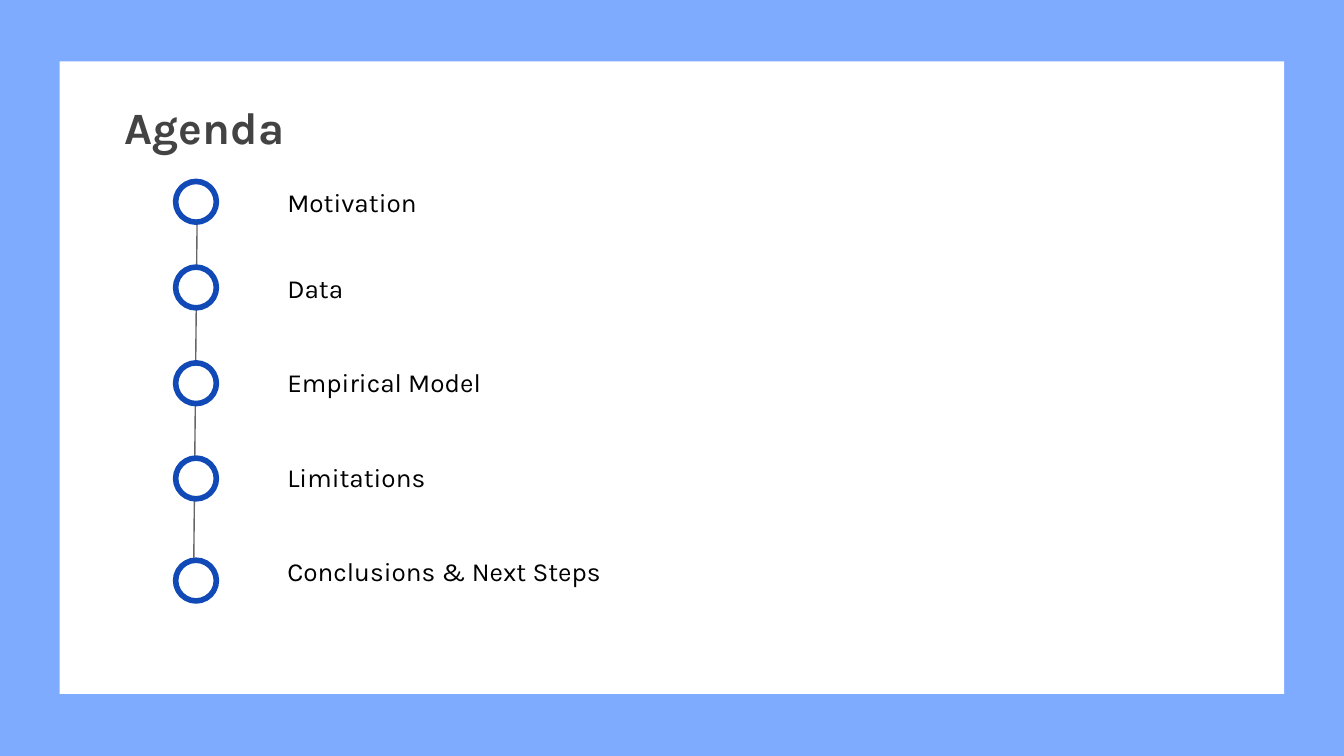
"""Build an agenda slide with a vertical timeline of five topics."""
import pptx
import pptx.dml.color
import pptx.enum.shapes
import pptx.enum.text
import pptx.oxml
import pptx.util
from pptx.util import Cm

FONT = "Karla"
INSET = Cm(0.25)
# Topic, top of its label and top of its marker, in centimetres.
AGENDA = [
    ("Motivation", 3.28, 3.43),
    ("Data", 4.9, 5.05),
    ("Empirical Model", 6.68, 6.86),
    ("Limitations", 8.48, 8.66),
    ("Conclusions & Next Steps", 10.24, 10.59),
]


def color(value):
    """Return the colour for a hex string."""
    return pptx.dml.color.RGBColor.from_string(value)


def write_text(shape, text, size, text_color, anchor, bold=False):
    """Put one formatted left-aligned paragraph into a shape."""
    frame = shape.text_frame
    frame.text = text
    frame.word_wrap = True
    frame.auto_size = pptx.enum.text.MSO_AUTO_SIZE.NONE
    frame.vertical_anchor = anchor
    frame.margin_left = frame.margin_right = INSET
    frame.margin_top = frame.margin_bottom = INSET
    paragraph = frame.paragraphs[0]
    paragraph.alignment = pptx.enum.text.PP_ALIGN.LEFT
    paragraph.font.name = FONT
    paragraph.font.size = pptx.util.Pt(size)
    paragraph.font.bold = bold
    paragraph.font.color.rgb = color(text_color)


def add_title(slide, text):
    """Place and format the title placeholder."""
    title = slide.shapes.title
    title.left, title.top = Cm(2.11), Cm(2.06)
    title.width, title.height = Cm(21.16), Cm(1.09)
    write_text(title, text, 24, "434343", pptx.enum.text.MSO_ANCHOR.BOTTOM, bold=True)


def add_white_shape(slide, kind, left, top, width, height, line_color=None):
    """Add a white shape, outlined if a line colour is given."""
    shape = slide.shapes.add_shape(kind, Cm(left), Cm(top), Cm(width), Cm(height))
    shape.shadow.inherit = False
    shape.fill.solid()
    shape.fill.fore_color.rgb = color("FFFFFF")
    if line_color:
        shape.line.color.rgb = color(line_color)
        shape.line.width = pptx.util.Pt(3)
    else:
        shape.line.fill.background()
    return shape


def add_panel(slide):
    """Add the white panel behind the title."""
    panel = add_white_shape(
        slide, pptx.enum.shapes.MSO_SHAPE.RECTANGLE, 1.13, 1.16, 23.14, 11.96
    )
    slide.shapes.title.element.addprevious(panel.element)


def add_label(slide, text, top):
    """Add the label of one agenda topic."""
    label = slide.shapes.add_textbox(Cm(5.18), Cm(top), Cm(11.05), Cm(1.45))
    write_text(label, text, 14, "000000", pptx.enum.text.MSO_ANCHOR.TOP)


def add_timeline(slide):
    """Add the thin line that runs behind the markers."""
    line = slide.shapes.add_connector(
        pptx.enum.shapes.MSO_CONNECTOR.STRAIGHT,
        Cm(3.73), Cm(3.63), Cm(3.66), Cm(10.82),
    )
    line.line.color.rgb = color("666666")
    line.line.width = pptx.util.Pt(0.75)
    properties = line.element.spPr
    properties.append(pptx.oxml.xmlchemy.OxmlElement("a:effectLst"))


def main():
    """Build and save the presentation."""
    presentation = pptx.Presentation()
    presentation.slide_width, presentation.slide_height = Cm(25.4), Cm(14.29)
    slide = presentation.slides.add_slide(presentation.slide_layouts[5])
    slide.background.fill.solid()
    slide.background.fill.fore_color.rgb = color("7FABFF")

    add_panel(slide)
    add_title(slide, "Agenda")
    for topic, label_top, _ in AGENDA:
        add_label(slide, topic, label_top)
    add_timeline(slide)
    for _, _, marker_top in AGENDA:
        add_white_shape(
            slide, pptx.enum.shapes.MSO_SHAPE.OVAL, 3.32, marker_top, 0.77, 0.77, "114AB6"
        )
    presentation.save("out.pptx")


if __name__ == "__main__":
    main()
